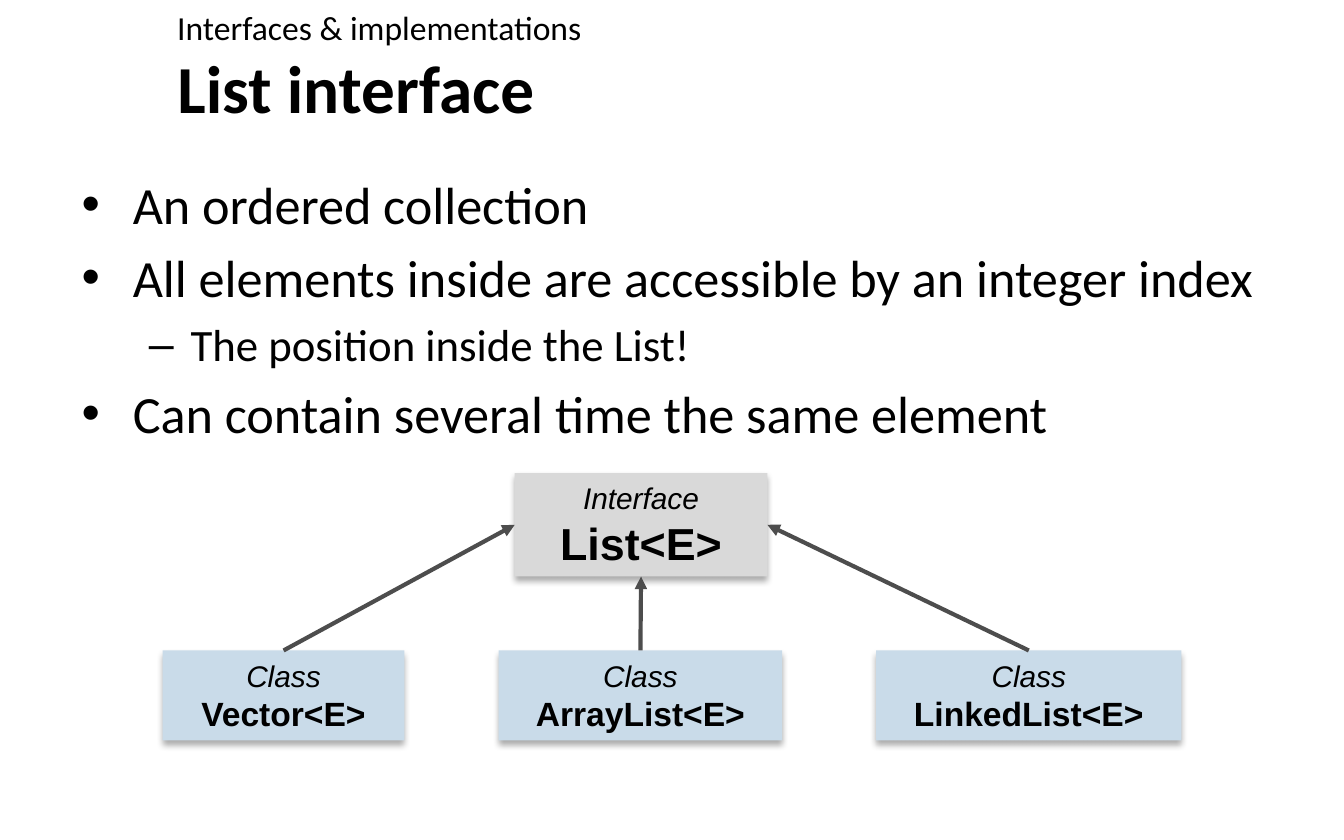
import lxml.etree
import pptx
import pptx.dml.color
import pptx.enum.shapes
import pptx.enum.text
import pptx.oxml
import pptx.oxml.ns
import pptx.util

Inches = pptx.util.Inches
Pt = pptx.util.Pt
qn = pptx.oxml.ns.qn
SubElement = lxml.etree.SubElement

COLOURS = {
    "text": "000000",
    "interface": "D9D9D9",
    "class": "C9DBE9",
    "arrow": "4D4D4D",
    "shadow": "000000",
}
BULLETS = [("•", 28, 0.38, 0.38), ("–", 24, 0.81, 0.31)]
TOP, LEFT, BOTTOM, RIGHT = range(4)


def rgb(name):
    return pptx.dml.color.RGBColor.from_string(COLOURS[name])


class InterfaceSlide:
    def __init__(self, deck):
        self.slide = deck.slides.add_slide(deck.slide_layouts[5])
        self.shapes = self.slide.shapes

    def style(self, paragraph, size, face="Calibri", bold=False, italic=False):
        font = paragraph.font
        font.name, font.size = face, Pt(size)
        font.bold, font.italic = bold, italic
        font.color.rgb = rgb("text")

    def title(self, text, left, top, width, height):
        heading = self.shapes.title
        heading.left, heading.top = Inches(left), Inches(top)
        heading.width, heading.height = Inches(width), Inches(height)
        frame = heading.text_frame
        frame.text = text
        frame.auto_size = pptx.enum.text.MSO_AUTO_SIZE.NONE
        frame.vertical_anchor = pptx.enum.text.MSO_ANCHOR.MIDDLE
        paragraph = frame.paragraphs[0]
        paragraph.alignment = pptx.enum.text.PP_ALIGN.LEFT
        self.style(paragraph, 36, bold=True)

    def text_box(self, left, top, width, height):
        frame = self.shapes.add_textbox(
            Inches(left), Inches(top), Inches(width), Inches(height)).text_frame
        frame.word_wrap = True
        return frame

    def label(self, text, *place):
        paragraph = self.text_box(*place).paragraphs[0]
        paragraph.text = text
        self.style(paragraph, 18)

    def bullets(self, points, *place):
        frame = self.text_box(*place)
        for index, (level, text) in enumerate(points):
            paragraph = frame.add_paragraph() if index else frame.paragraphs[0]
            mark, size, margin, hanging = BULLETS[level]
            paragraph.text = text
            paragraph.level = level
            paragraph.space_before = Pt(size * 0.2)
            self.style(paragraph, size)
            properties = paragraph._p.get_or_add_pPr()
            properties.set("marL", str(Inches(margin)))
            properties.set("indent", str(-Inches(hanging)))
            font = properties.find(qn("a:defRPr"))
            bullet_font = lxml.etree.Element(qn("a:buFont"), typeface="Arial")
            bullet = lxml.etree.Element(qn("a:buChar"), char=mark)
            font.addprevious(bullet_font)
            font.addprevious(bullet)

    def type_box(self, kind, name, name_size, left, top, width, height):
        box = self.shapes.add_shape(
            pptx.enum.shapes.MSO_SHAPE.RECTANGLE,
            Inches(left), Inches(top), Inches(width), Inches(height))
        box.fill.solid()
        box.fill.fore_color.rgb = rgb(kind.lower())
        box.line.fill.background()
        self.drop_shadow(box)
        frame = box.text_frame
        frame.auto_size = pptx.enum.text.MSO_AUTO_SIZE.SHAPE_TO_FIT_TEXT
        frame.text = f"{kind}\n{name}"
        kind_line, name_line = frame.paragraphs
        self.style(kind_line, 16, "Arial", italic=True)
        self.style(name_line, name_size, "Arial", bold=True)
        for paragraph in frame.paragraphs:
            paragraph.alignment = pptx.enum.text.PP_ALIGN.CENTER
        return box

    def drop_shadow(self, box):
        box.shadow.inherit = False
        effects = box._element.spPr.find(qn("a:effectLst"))
        shadow = SubElement(
            effects, qn("a:outerShdw"), blurRad=str(Pt(3.5)),
            dist=str(Pt(2.2)), dir="5400000", rotWithShape="0")
        colour = SubElement(shadow, qn("a:srgbClr"), val=COLOURS["shadow"])
        SubElement(colour, qn("a:alpha"), val="32000")

    def arrow(self, child, parent, side):
        link = self.shapes.add_connector(
            pptx.enum.shapes.MSO_CONNECTOR.STRAIGHT, 0, 0, 0, 0)
        link.begin_connect(child, TOP)
        link.end_connect(parent, side)
        link.line.color.rgb = rgb("arrow")
        link.line.width = Pt(2.25)
        SubElement(link.line._get_or_add_ln(), qn("a:tailEnd"), type="triangle")
        SubElement(link._element.spPr, qn("a:effectLst"))


def main():
    deck = pptx.Presentation()
    deck.slide_width, deck.slide_height = Inches(10), Inches(6.25)
    page = InterfaceSlide(deck)
    page.title("List interface", 1.22, 0.37, 8.51, 0.55)
    page.bullets([
        (0, "An ordered collection"),
        (0, "All elements inside are accessible by an integer index"),
        (1, "The position inside the List!"),
        (0, "Can contain several time the same element"),
    ], 0.51, 1.23, 9.06, 4.63)
    page.label("Interfaces & implementations", 1.22, 0, 8.51, 0.37)

    list_interface = page.type_box("Interface", "List<E>", 24, 3.83, 3.52, 1.88, 0.77)
    implementations = [
        ("Vector<E>", 1.21, 1.8, LEFT),
        ("ArrayList<E>", 3.71, 2.11, BOTTOM),
        ("LinkedList<E>", 6.52, 2.27, RIGHT),
    ]
    for name, left, width, side in implementations:
        implementation = page.type_box("Class", name, 18, left, 4.84, width, 0.67)
        page.arrow(implementation, list_interface, side)

    deck.save("out.pptx")


if __name__ == "__main__":
    main()
